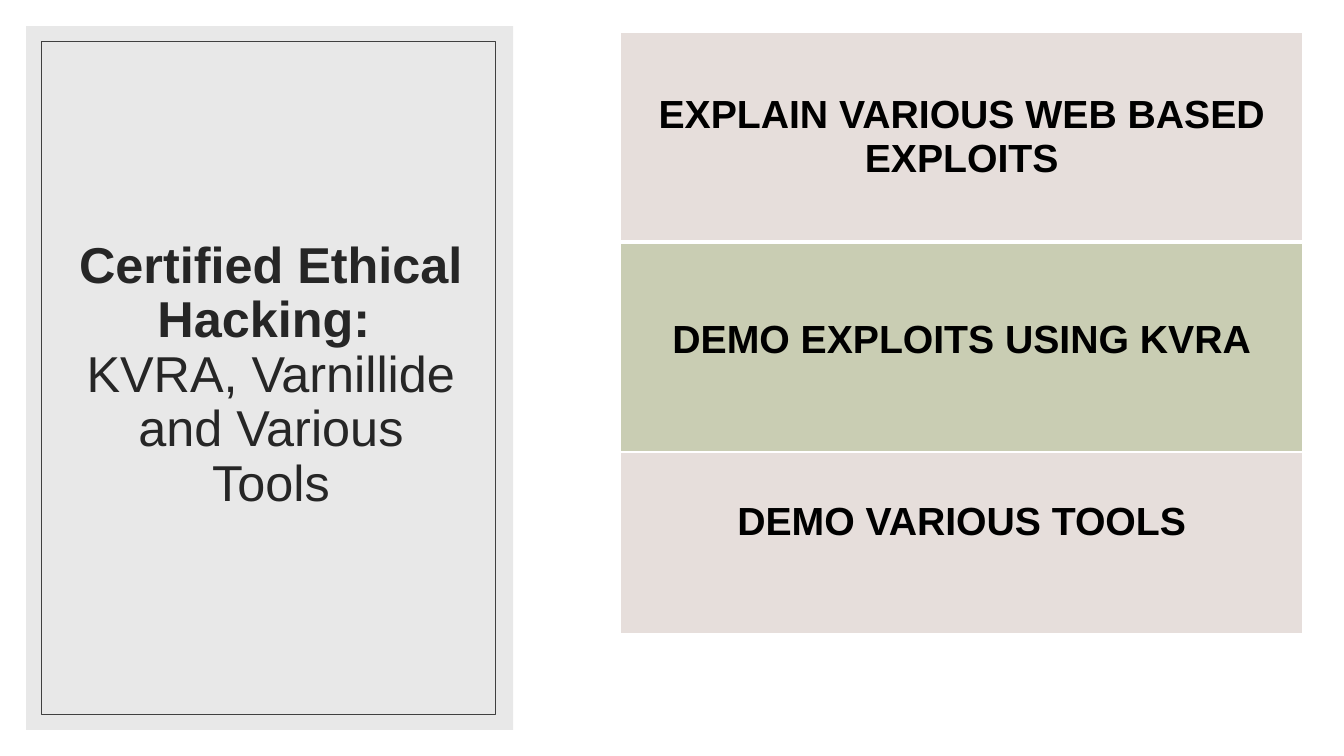
import pptx
import pptx.dml.color
import pptx.enum.shapes
import pptx.enum.text
import pptx.oxml
import pptx.oxml.ns
import pptx.util

Pt = pptx.util.Pt
CENTER = pptx.enum.text.PP_ALIGN.CENTER
RECTANGLE = pptx.enum.shapes.MSO_SHAPE.RECTANGLE
NAMESPACE = pptx.oxml.ns.nsdecls("a")


def color(value):
    return pptx.dml.color.RGBColor.from_string(value)


presentation = pptx.Presentation()
presentation.slide_width, presentation.slide_height = Pt(960), Pt(540)
slide = presentation.slides.add_slide(presentation.slide_layouts[5])
slide.background.fill.solid()
slide.background.fill.fore_color.rgb = color("FFFFFF")

# Translucent grey panel
panel = slide.shapes.add_shape(RECTANGLE, Pt(18.7), Pt(18.7), Pt(347.8), Pt(502.6))
panel.shadow.inherit = False
panel.fill.solid()
panel.fill.fore_color.rgb = color("D9D9D9")
panel.line.fill.background()
panel_color = panel.element.spPr.find(".//" + pptx.oxml.ns.qn("a:srgbClr"))
panel_color.append(pptx.oxml.parse_xml(f'<a:alpha {NAMESPACE} val="60000"/>'))

# Title, placed in front of the panel
title = slide.shapes.title
panel.element.addnext(title.element)
title.left, title.top, title.width, title.height = Pt(45.2), Pt(44), Pt(296.6), Pt(449.3)
title.text_frame.word_wrap = True
title.text_frame.auto_size = pptx.enum.text.MSO_AUTO_SIZE.NONE
title.text_frame.vertical_anchor = pptx.enum.text.MSO_ANCHOR.MIDDLE
paragraph = title.text_frame.paragraphs[0]
paragraph.alignment = CENTER
paragraph.line_spacing = 0.9
course = paragraph.add_run()
course.text = "Certified Ethical Hacking: "
paragraph.add_line_break()
topics = paragraph.add_run()
topics.text = "KVRA, Varnillide and Various Tools"
for run, bold in ((course, True), (topics, False)):
    run.font.name = "Arial"
    run.font.size = Pt(36)
    run.font.bold = bold
    run.font.color.rgb = color("262626")

# Thin frame inside the panel
frame = slide.shapes.add_shape(RECTANGLE, Pt(29.5), Pt(29.5), Pt(324.5), Pt(481))
frame.shadow.inherit = False
frame.fill.background()
frame.line.color.rgb = color("404040")
frame.line.width = Pt(0.5)

# Agenda table: text, row height, space above the text, fill
agenda = [
    ("EXPLAIN VARIOUS WEB BASED EXPLOITS", 149.5, 43, "E6DEDB"),
    ("DEMO EXPLOITS USING KVRA", 150, 54.5, "C9CDB3"),
    ("DEMO VARIOUS TOOLS", 130, 34.5, "E6DEDB"),
]
table = slide.shapes.add_table(
    len(agenda), 1, Pt(443.3), Pt(23.4), Pt(487.2), Pt(429.5)).table
for index, (text, height, space_above, fill) in enumerate(agenda):
    table.rows[index].height = Pt(height)
    cell = table.cell(index, 0)
    cell.fill.solid()
    cell.fill.fore_color.rgb = color(fill)
    cell.margin_top = Pt(space_above)
    cell.text = text
    paragraph = cell.text_frame.paragraphs[0]
    paragraph.alignment = CENTER
    paragraph.font.name = "Arial"
    paragraph.font.size = Pt(28)
    paragraph.font.bold = True
    paragraph.font.color.rgb = color("000000")

# Thick white rule under the first row
first_properties = table.cell(0, 0).fill._xPr
first_properties.insert(0, pptx.oxml.parse_xml(
    f'<a:lnB {NAMESPACE} w="{Pt(3)}"><a:solidFill><a:srgbClr val="FFFFFF"/>'
    '</a:solidFill></a:lnB>'))

presentation.save("out.pptx")
